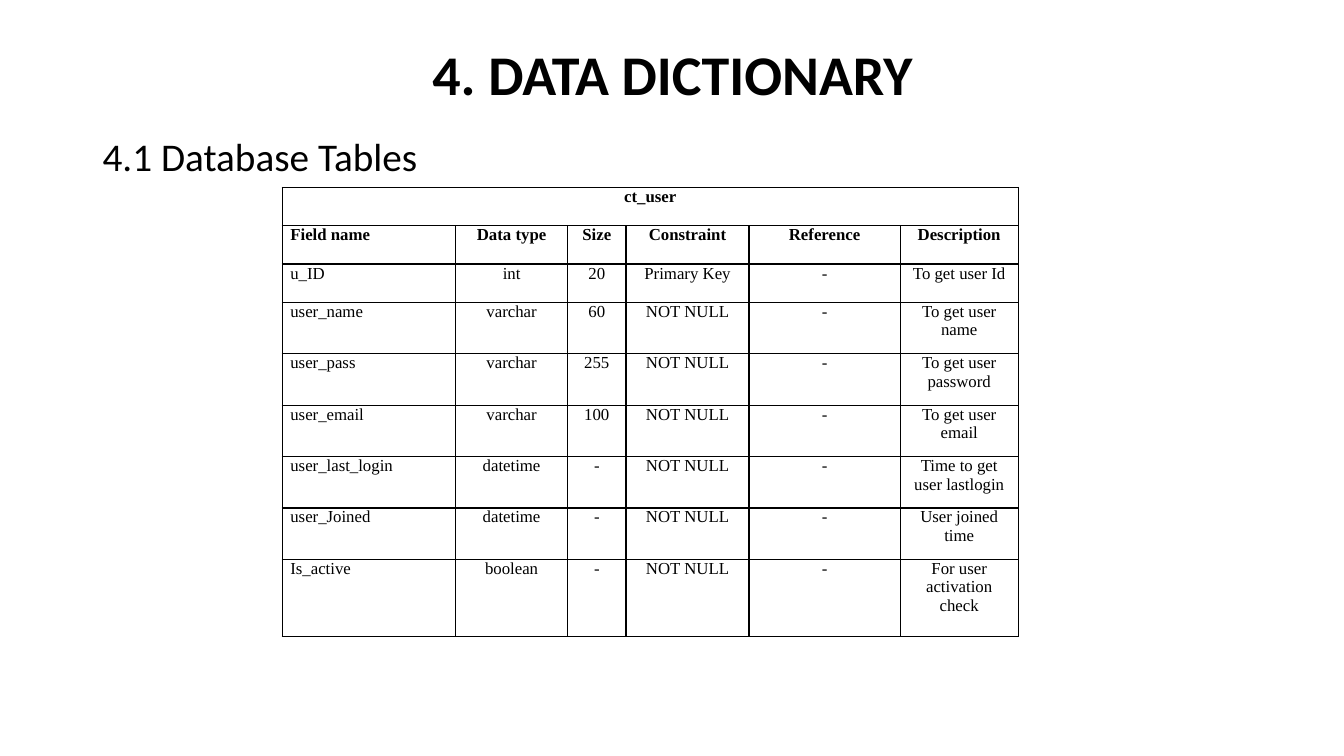
from dataclasses import astuple, dataclass

import pptx
import pptx.dml.color
import pptx.enum.text
import pptx.oxml
import pptx.oxml.ns
import pptx.util
from pptx.util import Inches

BLACK = pptx.dml.color.RGBColor(0x00, 0x00, 0x00)
ALIGN = pptx.enum.text.PP_ALIGN
ANCHOR = pptx.enum.text.MSO_ANCHOR


@dataclass(frozen=True)
class Heading:
    text: str
    top: float
    height: float
    size: int
    bold: bool
    align: ALIGN
    anchor: ANCHOR
    space_before: int


@dataclass(frozen=True)
class Field:
    name: str
    data_type: str
    size: str
    constraint: str
    reference: str
    description: str


HEADINGS = [
    Heading("4. DATA DICTIONARY", 0.4, 0.74, 40, True, ALIGN.CENTER, ANCHOR.MIDDLE, 0),
    Heading("4.1 Database Tables", 1.32, 5.44, 28, False, ALIGN.LEFT, ANCHOR.TOP, 10),
]
TABLE_NAME = "ct_user"
FIELDS = [
    Field("Field name", "Data type", "Size", "Constraint", "Reference", "Description"),
    Field("u_ID", "int", "20", "Primary Key", "-", "To get user Id"),
    Field("user_name", "varchar", "60", "NOT NULL", "-", "To get user name"),
    Field("user_pass", "varchar", "255", "NOT NULL", "-", "To get user password"),
    Field("user_email", "varchar", "100", "NOT NULL", "-", "To get user email"),
    Field("user_last_login", "datetime", "-", "NOT NULL", "-", "Time to get user lastlogin"),
    Field("user_Joined", "datetime", "-", "NOT NULL", "-", "User joined time"),
    Field("Is_active", "boolean", "-", "NOT NULL", "-", "For user activation check"),
]
COLUMN_WIDTHS = [1.72, 1.11, 0.58, 1.22, 1.5, 1.17]
ROW_HEIGHTS = [0.38] * 3 + [0.51] * 5 + [0.77]


def format_text(p, align: ALIGN, font: str, size: int, bold: bool) -> None:
    p.alignment = align
    for r in p.runs:
        r.font.name = font
        r.font.size = pptx.util.Pt(size)
        r.font.bold = bold
        r.font.color.rgb = BLACK


def add_heading(slide, heading: Heading) -> None:
    sp = slide.shapes.add_textbox(
        Inches(0.92), Inches(heading.top), Inches(11.5), Inches(heading.height))
    tf = sp.text_frame
    tf.word_wrap = True
    tf.vertical_anchor = heading.anchor
    tf.text = heading.text
    p = tf.paragraphs[0]
    p.line_spacing = 0.9
    p.space_before = pptx.util.Pt(heading.space_before)
    format_text(p, heading.align, "Calibri", heading.size, heading.bold)


def add_borders(cell) -> None:
    """Draw a 1 pt black line on every side of the cell."""
    props = cell._tc.get_or_add_tcPr()
    for position, side in enumerate(("lnL", "lnR", "lnT", "lnB")):
        line = pptx.oxml.parse_xml(
            f'<a:{side} {pptx.oxml.ns.nsdecls("a")} w="{pptx.util.Pt(1)}">'
            f'<a:solidFill><a:srgbClr val="{BLACK}"/></a:solidFill></a:{side}>')
        props.insert(position, line)


def fill_cell(cell, text: str, align: ALIGN, bold: bool) -> None:
    cell.margin_left = cell.margin_right = Inches(0.08)
    cell.margin_top = cell.margin_bottom = 0
    cell.fill.background()
    add_borders(cell)
    cell.text_frame.text = text
    format_text(cell.text_frame.paragraphs[0], align, "Times New Roman", 12, bold)


def add_field_table(slide) -> None:
    table = slide.shapes.add_table(
        len(ROW_HEIGHTS), len(COLUMN_WIDTHS), Inches(2.8), Inches(1.86),
        Inches(sum(COLUMN_WIDTHS)), Inches(sum(ROW_HEIGHTS))).table
    table.first_row = table.horz_banding = False
    for column, width in zip(table.columns, COLUMN_WIDTHS):
        column.width = Inches(width)
    for row, height in zip(table.rows, ROW_HEIGHTS):
        row.height = Inches(height)

    table.cell(0, 0).merge(table.cell(0, len(COLUMN_WIDTHS) - 1))
    for col in range(len(COLUMN_WIDTHS)):
        fill_cell(table.cell(0, col), "" if col else TABLE_NAME, ALIGN.CENTER, True)
    for row, field in enumerate(FIELDS, start=1):
        for col, text in enumerate(astuple(field)):
            align = ALIGN.CENTER if col else ALIGN.LEFT
            fill_cell(table.cell(row, col), text, align, bold=row == 1)


def main() -> None:
    prs = pptx.Presentation()
    prs.slide_width, prs.slide_height = Inches(13.33), Inches(7.5)
    slide = prs.slides.add_slide(prs.slide_layouts[6])
    for heading in HEADINGS:
        add_heading(slide, heading)
    add_field_table(slide)
    prs.save("out.pptx")


if __name__ == "__main__":
    main()
